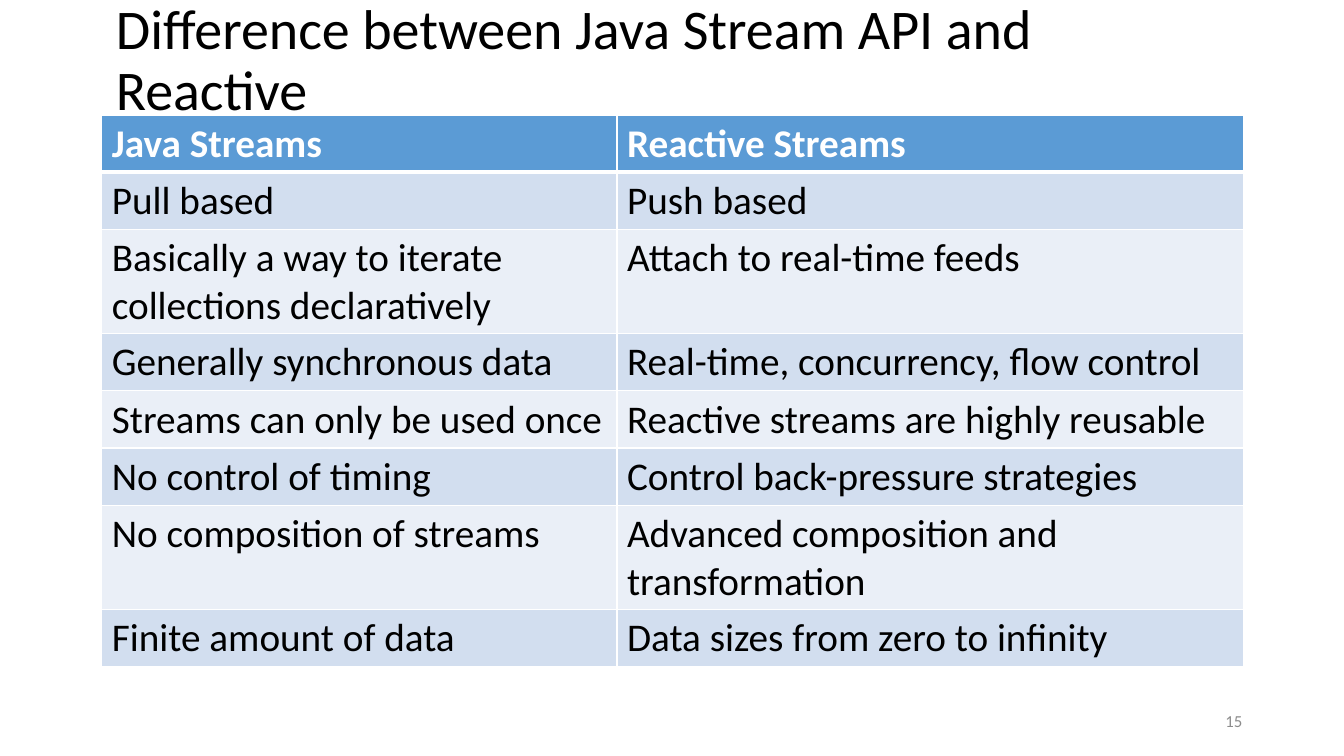
from lxml import etree
from pptx import Presentation
from pptx.dml.color import RGBColor
from pptx.enum.text import MSO_ANCHOR as Anchor, MSO_AUTO_SIZE as AutoSize, PP_ALIGN as Align
from pptx.oxml.ns import qn
from pptx.util import Inches, Pt

FONT = "Calibri"
TITLE = "Difference between Java Stream API and Reactive"
COMPARISON = [
    ("Java Streams", "Reactive Streams"),
    ("Pull based", "Push based"),
    ("Basically a way to iterate collections declaratively", "Attach to real-time feeds"),
    ("Generally synchronous data", "Real-time, concurrency, flow control"),
    ("Streams can only be used once", "Reactive streams are highly reusable"),
    ("No control of timing", "Control back-pressure strategies"),
    ("No composition of streams", "Advanced composition and transformation"),
    ("Finite amount of data", "Data sizes from zero to infinity"),
]
COLUMN_WIDTHS = (5.11, 6.21)
ROW_HEIGHT = 0.41
HEADER_FILL = "5B9BD5"
BAND_FILLS = ("EAEFF7", "D2DEEF")


def color(hex_code):
    """Turn a hex string into a colour."""
    return RGBColor.from_string(hex_code)


def write(frame, text, size, hex_code, bold=False, align=Align.LEFT):
    """Put one formatted paragraph into a text frame and return it."""
    frame.text = text
    paragraph = frame.paragraphs[0]
    paragraph.alignment = align
    font = paragraph.font
    font.name, font.size, font.bold = FONT, Pt(size), bold
    font.color.rgb = color(hex_code)
    return paragraph


def add_title(slide):
    """Place and format the title placeholder."""
    title = slide.shapes.title
    title.left, title.top = Inches(1.05), Inches(0.21)
    title.width, title.height = Inches(11.25), Inches(0.81)
    frame = title.text_frame
    frame.auto_size = AutoSize.NONE
    frame.vertical_anchor = Anchor.MIDDLE
    write(frame, TITLE, 40, "000000").line_spacing = 0.9


def set_borders(cell, bottom_width):
    """Draw white cell borders, with a chosen width at the bottom."""
    properties = cell._tc.get_or_add_tcPr()
    for position, (side, width) in enumerate(
        (("lnL", 1), ("lnR", 1), ("lnT", 1), ("lnB", bottom_width))
    ):
        line = etree.Element(qn(f"a:{side}"), w=str(Pt(width)))
        fill = etree.SubElement(line, qn("a:solidFill"))
        etree.SubElement(fill, qn("a:srgbClr"), val="FFFFFF")
        properties.insert(position, line)


def add_comparison(slide):
    """Add the table that sets both kinds of stream side by side."""
    table = slide.shapes.add_table(
        len(COMPARISON), len(COLUMN_WIDTHS), Inches(1.01), Inches(1.14),
        Inches(sum(COLUMN_WIDTHS)), Inches(ROW_HEIGHT * len(COMPARISON)),
    ).table
    for column, width in zip(table.columns, COLUMN_WIDTHS):
        column.width = Inches(width)
    for row, entries in enumerate(COMPARISON):
        header = row == 0
        for column, entry in enumerate(entries):
            cell = table.cell(row, column)
            cell.fill.solid()
            cell.fill.fore_color.rgb = color(HEADER_FILL if header else BAND_FILLS[row % 2])
            write(cell.text_frame, entry, 28, "FFFFFF" if header else "000000", bold=header)
            set_borders(cell, 3 if row == 0 else 1)
            if row == 1:
                cell._tc.tcPr.find(qn("a:lnT")).set("w", str(Pt(3)))


def add_page_number(slide):
    """Add the page number at the bottom right."""
    frame = slide.shapes.add_textbox(
        Inches(9.42), Inches(6.95), Inches(3), Inches(0.4)
    ).text_frame
    frame.word_wrap = True
    frame.vertical_anchor = Anchor.MIDDLE
    write(frame, "15", 12, "8C8C8C", align=Align.RIGHT)


def main():
    """Build and save the slide."""
    deck = Presentation()
    deck.slide_width, deck.slide_height = Inches(13.33), Inches(7.5)
    slide = deck.slides.add_slide(deck.slide_layouts[5])
    add_title(slide)
    add_page_number(slide)
    add_comparison(slide)
    deck.save("out.pptx")


if __name__ == "__main__":
    main()
